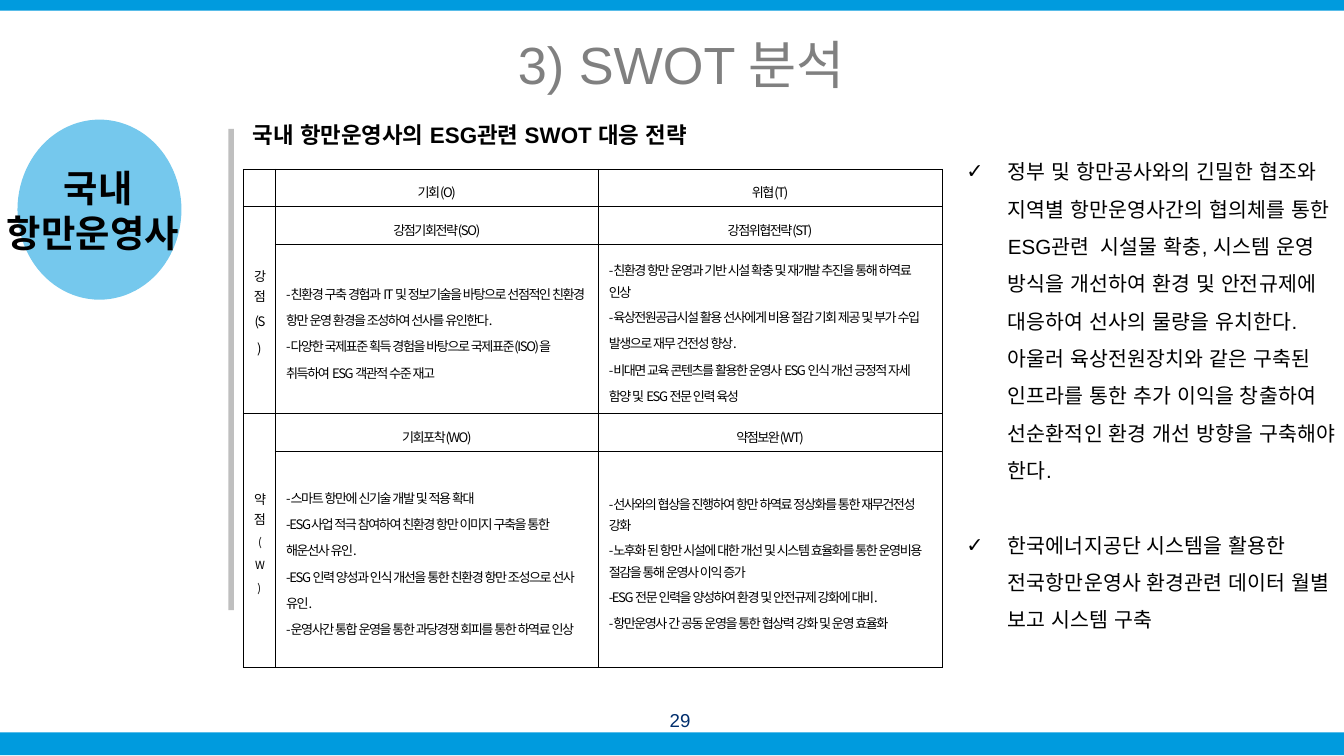
"""Build a SWOT analysis slide with a strategy table and takeaways."""
import lxml.etree
import pptx
import pptx.dml.color
import pptx.enum.shapes
import pptx.enum.text
import pptx.oxml.ns
import pptx.util

Inches = pptx.util.Inches
Pt = pptx.util.Pt
qn = pptx.oxml.ns.qn
SHAPE = pptx.enum.shapes.MSO_SHAPE
ANCHOR = pptx.enum.text.MSO_ANCHOR
ALIGN = pptx.enum.text.PP_ALIGN
COLORS = {"blue": "009BDE", "gray": "BFBFBF", "title": "808080", "navy": "002E6D", "black": "000000"}


def rgb(name):
    return pptx.dml.color.RGBColor.from_string(COLORS[name])


def write(tf, text, size, color="black", bold=None, align=ALIGN.LEFT, spacing=None, gap=0,
          bullet=None, tracking=None, ascii_font="Arial", margins=(0, 0), anchor=ANCHOR.MIDDLE):
    tf.word_wrap = True
    tf.vertical_anchor = anchor
    tf.margin_left = tf.margin_right = Inches(margins[0])
    tf.margin_top = tf.margin_bottom = Inches(margins[1])
    for i, line in enumerate(text.split("\n")):
        p = tf.add_paragraph() if i else tf.paragraphs[0]
        if bullet:
            pPr = p._p.get_or_add_pPr()
            pPr.set("marL", str(Inches(0.31)))
            pPr.set("indent", str(-Inches(0.31)))
            lxml.etree.SubElement(pPr, qn("a:buFont")).set("typeface", "Arial")
            lxml.etree.SubElement(pPr, qn("a:buChar")).set("char", bullet)
        p.alignment = align
        if spacing:
            p.line_spacing = spacing
        if i and gap:
            p.space_before = Pt(gap)
        for part in filter(None, line.split("|")):
            r = p.add_run()
            r.text = part
            r.font.name = ascii_font if part.isascii() else "Arial"
            r.font.size = Pt(size)
            r.font.bold = bold
            r.font.color.rgb = rgb(color)
            rPr = r._r.get_or_add_rPr()
            lxml.etree.SubElement(rPr, qn("a:ea")).set("typeface", r.font.name)
            if tracking:
                rPr.set("spc", str(tracking))
        lxml.etree.SubElement(p._p, qn("a:endParaRPr")).set("sz", str(size * 100))


prs = pptx.Presentation()
prs.slide_width, prs.slide_height = Inches(10), Inches(10 * 9 / 16)
s = prs.slides.add_slide(prs.slide_layouts[6])

for kind, box, color in [
    (SHAPE.RECTANGLE, (0, 0, 10, 0.08), "blue"),
    (SHAPE.RECTANGLE, (0, 5.45, 10, 0.17), "blue"),
    (SHAPE.RECTANGLE, (1.7, 0.96, 0.04, 3.58), "gray"),
    (SHAPE.OVAL, (0.13, 0.89, 1.22, 1.34), "blue"),
]:
    sp = s.shapes.add_shape(kind, *map(Inches, box))
    sp.shadow.inherit = False
    sp.fill.solid()
    sp.fill.fore_color.rgb = rgb(color)
    sp.line.fill.background()
    if kind == SHAPE.OVAL:
        clr = sp._element.spPr.find(qn("a:solidFill"))[0]
        lxml.etree.SubElement(clr, qn("a:alpha")).set("val", "54000")

takeaways = (
    "정부 및 항만공사와의 긴밀한 협조와 지역별 항만운영사간의 협의체를 통한 ESG관련  시설물 확충, "
    "시스템 운영 방식을 개선하여 환경 및 안전규제에 대응하여 선사의 물량을 유치한다. "
    "아울러 육상전원장치와 같은 구축된 인프라를 통한 추가 이익을 창출하여 "
    "선순환적인 환경 개선 방향을 구축해야 한다.\n"
    "한국에너지공단 시스템을 활용한 전국항만운영사 환경관련 데이터 월별 보고 시스템 구축"
)
for box, text, style in [
    ((1.88, 0.82, 4.09, 0.29), "국내 항만운영사의 ESG관련 SWOT 대응 전략",
     dict(size=12, bold=True, spacing=Pt(20), anchor=ANCHOR.TOP)),
    ((0.04, 1.2, 1.38, 0.72), "국내 항만운영사 ", dict(size=20, bold=True, align=ALIGN.CENTER)),
    ((0.07, 0.2, 10, 0.54), "3) SWOT 분석", dict(size=28, color="title", align=ALIGN.CENTER)),
    ((7.19, 1.09, 2.77, 3.9), takeaways,
     dict(size=11, spacing=Pt(20), gap=20, bullet="✓", anchor=ANCHOR.TOP)),
    ((4.81, 5.21, 0.5, 0.3), "29", dict(size=10, color="navy", align=ALIGN.CENTER)),
]:
    write(s.shapes.add_textbox(*map(Inches, box)).text_frame, text, **style)

rows = [
    ["", "기회|(O)", "위협|(T)"],
    ["강점\n(S)", "강점기회전략|(SO)", "강점위협전략|(ST)"],
    ["",
     "-|친환경 구축 경험과 |IT |및 정보기술을 바탕으로 선점적인 친환경 항만 운영 환경을 조성하여 선사를 유인한다|.\n"
     "-|다양한 국제표준 획득 경험을 바탕으로 국제표준|(ISO)|을 취득하여 |ESG |객관적 수준 재고",
     "-|친환경 항만 운영과 기반 시설 확충 및 재개발 추진을 통해 하역료 인상\n"
     "-|육상전원공급시설 활용 선사에게 비용 절감 기회 제공 및 부가 수입 발생으로 재무 건전성 향상|.\n"
     "-|비대면 교육 콘텐츠를 활용한 운영사 |ESG |인식 개선 긍정적 자세 함양 및 |ESG |전문 인력 육성"],
    ["약점\n(W)", "기회포착|(WO)", "약점보완|(WT)"],
    ["",
     "-|스마트 항만에 신기술 개발 및 적용 확대\n"
     "-ESG|사업 적극 참여하여 친환경 항만 이미지 구축을 통한 해운선사 유인|.\n"
     "-ESG |인력 양성과 인식 개선을 통한 친환경 항만 조성으로 선사 유인|.\n"
     "-|운영사간 통합 운영을 통한 과당경쟁 회피를 통한 하역료 인상",
     "-|선사와의 협상을 진행하여 항만 하역료 정상화를 통한 재무건전성 강화\n"
     "-|노후화 된 항만 시설에 대한 개선 및 시스템 효율화를 통한 운영비용 절감을 통해 운영사 이익 증가\n"
     "-ESG |전문 인력을 양성하여 환경 및 안전규제 강화에 대비|.\n"
     "-|항만운영사 간 공동 운영을 통한 협상력 강화 및 운영 효율화"],
]
table = s.shapes.add_table(5, 3, Inches(1.81), Inches(1.26), Inches(5.2), Inches(3.71)).table
table.first_row = table.horz_banding = False
for col, width in zip(table.columns, [0.24, 2.4, 2.56]):
    col.width = Inches(width)
for row, height in zip(table.rows, [0.28, 0.28, 1.26, 0.28, 1.61]):
    row.height = Inches(height)
for i, texts in enumerate(rows):
    for j, text in enumerate(texts):
        cell = table.cell(i, j)
        body = j > 0 and i in (2, 4)
        write(cell.text_frame, text, size=7, spacing=1.4, tracking=-70,
              align=ALIGN.LEFT if body else ALIGN.CENTER, ascii_font="Noto Sans CJK KR")
        cell.vertical_anchor = ANCHOR.MIDDLE
        cell.margin_left = cell.margin_right = Inches(0.08)
        cell.margin_top = cell.margin_bottom = Inches(0.04)
        tcPr = cell._tc.get_or_add_tcPr()
        for side in "LRTB":
            ln = lxml.etree.SubElement(tcPr, qn("a:ln" + side))
            ln.set("w", str(Pt(0.56)))
            fill = lxml.etree.SubElement(ln, qn("a:solidFill"))
            lxml.etree.SubElement(fill, qn("a:srgbClr")).set("val", COLORS["black"])
        cell.fill.background()
table.cell(3, 0).text_frame.paragraphs[1].runs[0].font.size = Pt(6)
for top in (1, 3):
    table.cell(top, 0).merge(table.cell(top + 1, 0))

prs.save("out.pptx")
